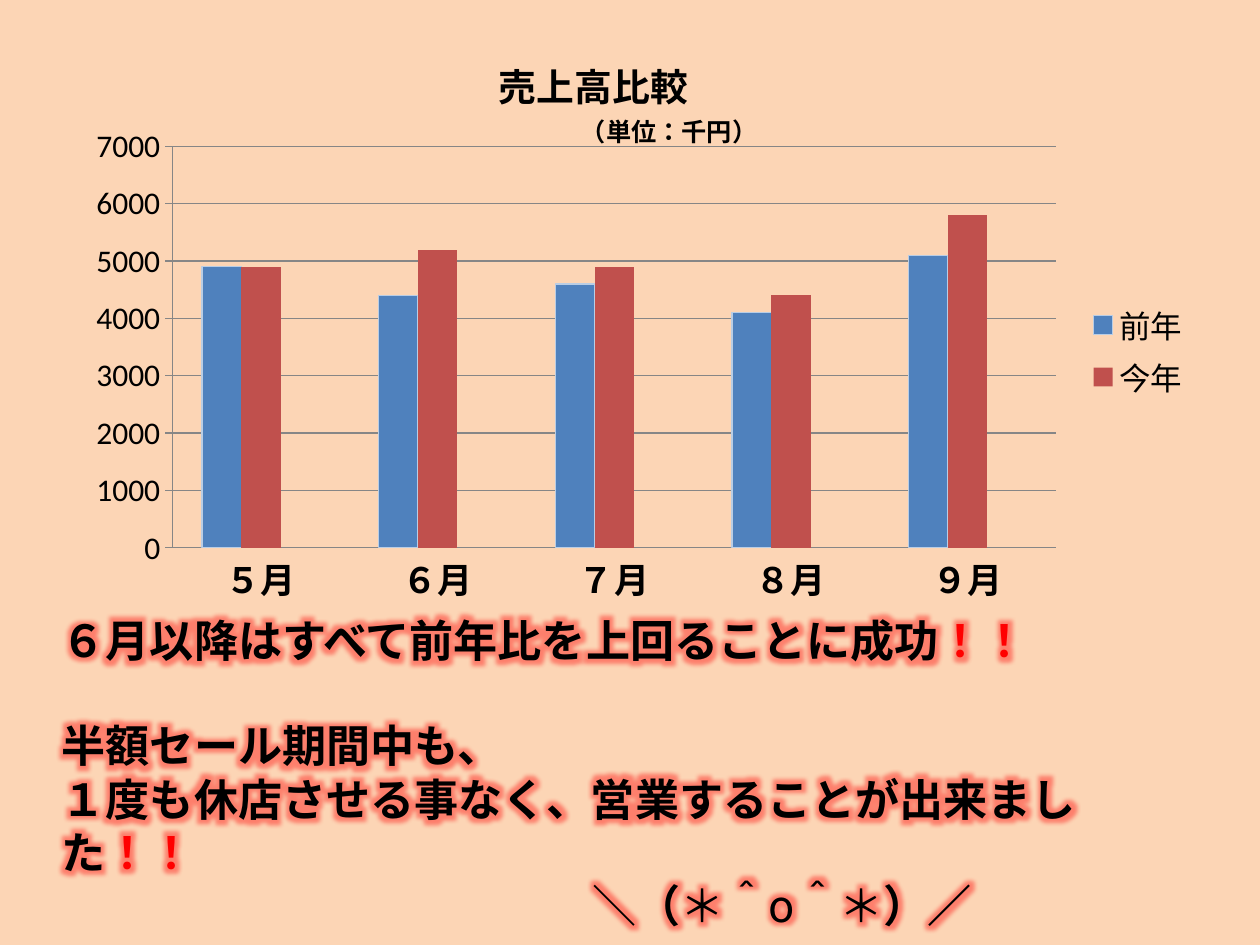
from lxml import etree
from pptx import Presentation
from pptx.chart.data import CategoryChartData
from pptx.dml.color import RGBColor
from pptx.enum.chart import XL_CHART_TYPE, XL_LEGEND_POSITION, XL_TICK_MARK
from pptx.enum.lang import MSO_LANGUAGE_ID
from pptx.enum.text import MSO_ANCHOR, MSO_AUTO_SIZE, PP_ALIGN
from pptx.oxml import parse_xml
from pptx.oxml.ns import nsdecls, qn
from pptx.util import Cm, Pt

COLUMNS = XL_CHART_TYPE.COLUMN_CLUSTERED
LEGEND_RIGHT = XL_LEGEND_POSITION.RIGHT
TICK_NONE, TICK_CROSS = XL_TICK_MARK.NONE, XL_TICK_MARK.CROSS
MIDDLE, LEFT, CENTER = MSO_ANCHOR.MIDDLE, PP_ALIGN.LEFT, PP_ALIGN.CENTER
NO_AUTOFIT = MSO_AUTO_SIZE.NONE
JAPANESE_TEXT = MSO_LANGUAGE_ID.JAPANESE

BLACK, RED, GRID = "000000", "FF0000", "868686"
LATIN, JAPANESE = "Calibri", "Noto Sans CJK JP"

MONTHS = ["５月", "６月", "７月", "８月", "９月"]
SERIES = [
    ("前年", [4900, 4400, 4600, 4100, 5100], "4F81BD", "B9CDE5"),
    ("今年", [4900, 5200, 4900, 4400, 5800], "C0504D", None),
    ("Series 3", [None] * 5, "9BBB59", None),
]
# Each paragraph: space before (pt), left indent (cm), runs of (text, colour, bold)
MESSAGE = [
    (0, 0, [("６月以降はすべて前年比を上回ることに成功", BLACK, True),
            ("！！", RED, True)]),
    (30, 0, [("半額セール期間中も、", BLACK, True)]),
    (0, 0, [("１度も休店させる事なく、営業することが出来ました", BLACK, True),
            ("！！", RED, True)]),
    (0, 10.7, [("＼", BLACK, False), ("（", BLACK, True),
               ("＊＾ο＾＊", BLACK, False), ("）／", BLACK, True)]),
]


def color(value):
    return RGBColor.from_string(value)


def add_layout(parent, position, target=None):
    """Return a manual layout in chart fractions, after removing the old one."""
    layout = parse_xml(f"<c:layout {nsdecls('c')}><c:manualLayout/></c:layout>")
    manual = layout[0]
    settings = [("layoutTarget", target)] if target else []
    settings += [("xMode", "edge"), ("yMode", "edge")]
    settings += list(zip("xywh", position))
    for tag, value in settings:
        etree.SubElement(manual, qn(f"c:{tag}")).set("val", str(value))
    for old in parent.findall(qn("c:layout")):
        parent.remove(old)
    return layout


class SalesSlide:
    def __init__(self, deck, background):
        self.slide = deck.slides.add_slide(deck.slide_layouts[5])
        fill = self.slide.background.fill
        fill.solid()
        fill.fore_color.rgb = color(background)

    def style(self, font, size, bold=False, name=JAPANESE, tint=BLACK):
        font.size, font.bold, font.name = Pt(size), bold, name
        font.color.rgb = color(tint)

    def span(self, para, text, size, bold, tint, glow=False):
        span = para.add_run()
        span.text = text
        self.style(span.font, size, bold, tint=tint)
        span.font.language_id = JAPANESE_TEXT
        latin = span.font._element.find(qn("a:latin"))
        latin.addnext(parse_xml(f'<a:ea {nsdecls("a")} typeface="{JAPANESE}"/>'))
        if glow:
            latin.addprevious(parse_xml(
                f'<a:effectLst {nsdecls("a")}><a:glow rad="139700">'
                f'<a:srgbClr val="{RED}"><a:alpha val="40000"/></a:srgbClr>'
                '</a:glow></a:effectLst>'))

    def message(self, left, top, width, height):
        title = self.slide.shapes.title
        title.left, title.top = Cm(left), Cm(top)
        title.width, title.height = Cm(width), Cm(height)
        frame = title.text_frame
        frame.word_wrap, frame.auto_size = True, NO_AUTOFIT
        frame.vertical_anchor, frame.margin_right = MIDDLE, Cm(1.6)
        for index, (before, indent, spans) in enumerate(MESSAGE):
            para = frame.add_paragraph() if index else frame.paragraphs[0]
            para.alignment, para.line_spacing = LEFT, Pt(30.3)
            para.space_before = Pt(before)
            para._p.get_or_add_pPr().set("marL", str(Cm(indent)))
            for text, tint, bold in spans:
                self.span(para, text, 25.2, bold, tint, glow=True)

    def unit_label(self, text, left, top, width, height):
        box = self.slide.shapes.add_textbox(Cm(left), Cm(top), Cm(width), Cm(height))
        frame = box.text_frame
        frame.word_wrap, frame.vertical_anchor = True, MIDDLE
        frame.margin_left = frame.margin_right = 0
        frame.margin_top = frame.margin_bottom = 0
        para = frame.paragraphs[0]
        para.alignment = CENTER
        self.span(para, text, 14.4, True, BLACK)

    def column_chart(self, heading, left, top, width, height):
        data = CategoryChartData()
        data.categories = MONTHS
        for name, values, _, _ in SERIES:
            data.add_series(name, values)
        chart = self.slide.shapes.add_chart(
            COLUMNS, Cm(left), Cm(top), Cm(width), Cm(height), data).chart
        self.style(chart.font, 18, name=LATIN)
        chart._chartSpace.find(qn("c:chart")).addnext(parse_xml(
            f'<c:spPr {nsdecls("c", "a")}><a:noFill/><a:ln><a:noFill/></a:ln></c:spPr>'))
        plot_area = chart._chartSpace.chart.plotArea
        plot_area.insert(0, add_layout(plot_area, (0.091, 0.172, 0.779, 0.644), "inner"))
        self.chart_title(chart, heading)
        self.chart_columns(chart.plots[0])
        self.chart_axes(chart)
        self.chart_legend(chart)

    def chart_title(self, chart, heading):
        title = chart.chart_title
        self.span(title.text_frame.paragraphs[0], heading, 21.6, True, BLACK)
        title.include_in_layout = False
        element = title._element
        element.find(qn("c:tx")).addnext(add_layout(element, (0.372, 0.01)))

    def chart_columns(self, plot):
        plot.gap_width, plot.overlap, plot.vary_by_categories = 150, 0, False
        for series, (_, _, fill, outline) in zip(plot.series, SERIES):
            series.format.fill.solid()
            series.format.fill.fore_color.rgb = color(fill)
            line = series.format.line
            if outline:
                line.color.rgb, line.width = color(outline), Pt(0.75)
            else:
                line.fill.background()

    def chart_axes(self, chart):
        months, amounts = chart.category_axis, chart.value_axis
        self.style(months.tick_labels.font, 20, True, LATIN)
        months.major_tick_mark, amounts.major_tick_mark = TICK_NONE, TICK_CROSS
        amounts.minimum_scale, amounts.maximum_scale = 0, 7000
        amounts.major_unit = 1000
        amounts.has_major_gridlines = True
        for part in (months, amounts, amounts.major_gridlines):
            part.format.line.color.rgb = color(GRID)
            part.format.line.width = Pt(0.75)

    def chart_legend(self, chart):
        chart.has_legend = True
        legend = chart.legend
        legend.position, legend.include_in_layout = LEGEND_RIGHT, False
        self.style(legend.font, 18, name=LATIN)
        legend._element.find(qn("c:legendPos")).addnext(parse_xml(
            f'<c:legendEntry {nsdecls("c")}><c:idx val="2"/>'
            '<c:delete val="1"/></c:legendEntry>'))


def main():
    deck = Presentation()
    deck.slide_width, deck.slide_height = Cm(25.4), Cm(19.05)
    sales = SalesSlide(deck, "FCD5B5")
    sales.message(0.99, 13.28, 22.81, 4.57)
    sales.column_chart("売上高比較", 1.4, 0.79, 22.86, 12.57)
    sales.unit_label("（単位：千円）", 11.24, 2.2, 4.5, 0.9)
    deck.save("out.pptx")


if __name__ == "__main__":
    main()
